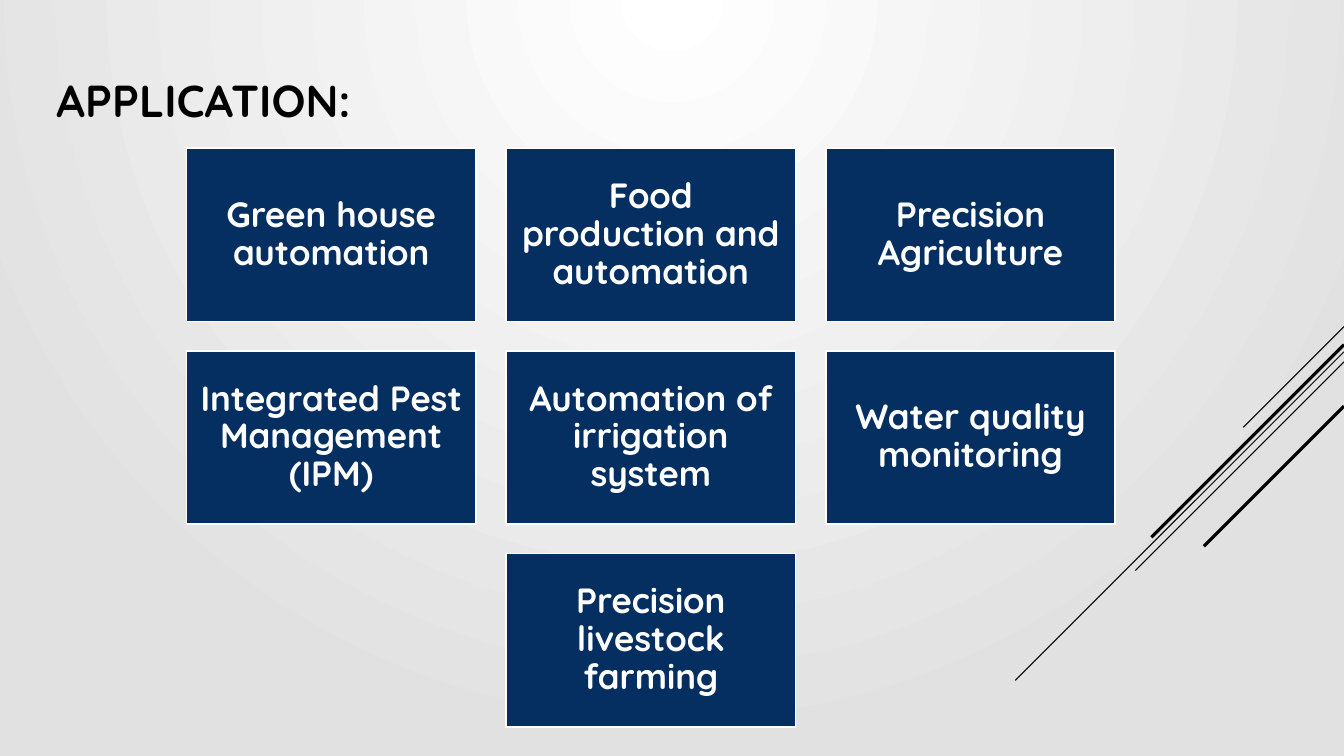
"""Build the slide listing applications of automation in agriculture."""
from dataclasses import dataclass

import lxml.etree
import pptx
import pptx.dml.color
import pptx.enum.shapes
import pptx.enum.text
import pptx.oxml.ns
import pptx.presentation
import pptx.slide
import pptx.util

Inches = pptx.util.Inches
Pt = pptx.util.Pt
RGBColor = pptx.dml.color.RGBColor
qn = pptx.oxml.ns.qn

BLACK = RGBColor(0x00, 0x00, 0x00)
WHITE = RGBColor(0xFF, 0xFF, 0xFF)
GREY = RGBColor(0xE1, 0xE1, 0xE1)
NAVY = RGBColor(0x05, 0x2F, 0x61)
FONT = "Quicksand"

SLIDE_W, SLIDE_H = 13.33, 7.5
GRID_LEFT, GRID_TOP = 1.85, 1.47
CARD_W, CARD_H = 2.87, 1.72
GAP_X, GAP_Y = 0.3, 0.29
COLUMNS = 3


@dataclass(frozen=True)
class Slash:
    """A diagonal line running down and left from the right edge."""
    top: float
    length: float
    weight: float


@dataclass(frozen=True)
class Card:
    """A labelled box placed on the grid."""
    text: str
    column: float
    row: int


SLASHES = [
    Slash(3.24, 1.0, 0.75),
    Slash(3.49, 3.26, 0.75),
    Slash(3.59, 2.07, 0.75),
    Slash(3.42, 1.91, 2.25),
    Slash(4.03, 1.39, 2.25),
]

APPLICATIONS = [
    ["Green house automation", "Food production and automation", "Precision Agriculture"],
    ["Integrated Pest Management (IPM)", "Automation of irrigation system",
     "Water quality monitoring"],
    ["Precision livestock farming"],
]


def paint_background(slide: pptx.slide.Slide) -> None:
    """Fill the background with a glow from the top centre."""
    fill = slide.background.fill
    fill.gradient()
    for stop, color in zip(fill.gradient_stops, (WHITE, GREY)):
        stop.color.rgb = color
    grad = slide.element.find(".//" + qn("a:gradFill"))
    grad.remove(grad.find(qn("a:lin")))
    glow = lxml.etree.SubElement(grad, qn("a:path"), path="circle")
    lxml.etree.SubElement(glow, qn("a:fillToRect"), l="0", t="0", r="0", b="100000")


def draw_slash(slide: pptx.slide.Slide, slash: Slash) -> None:
    """Draw one diagonal line."""
    line = slide.shapes.add_connector(
        pptx.enum.shapes.MSO_CONNECTOR.STRAIGHT,
        Inches(SLIDE_W), Inches(slash.top),
        Inches(SLIDE_W - slash.length), Inches(slash.top + slash.length))
    line.line.color.rgb = BLACK
    line.line.width = Pt(slash.weight)
    lxml.etree.SubElement(line.element.spPr, qn("a:effectLst"))


def format_paragraph(p, size: float, color: RGBColor,
                     alignment: pptx.enum.text.PP_ALIGN) -> None:
    """Apply the bold slide font to a paragraph."""
    p.alignment = alignment
    p.font.name = FONT
    p.font.size = Pt(size)
    p.font.bold = True
    p.font.color.rgb = color


def write_title(slide: pptx.slide.Slide, text: str) -> None:
    """Place and format the title."""
    title = slide.shapes.title
    title.left, title.top = Inches(0.46), Inches(0.67)
    title.width, title.height = Inches(7.97), Inches(0.64)
    tf = title.text_frame
    tf.text = text
    tf.word_wrap = True
    tf.auto_size = pptx.enum.text.MSO_AUTO_SIZE.SHAPE_TO_FIT_TEXT
    tf.vertical_anchor = pptx.enum.text.MSO_ANCHOR.TOP
    format_paragraph(tf.paragraphs[0], 32, BLACK, pptx.enum.text.PP_ALIGN.LEFT)


def draw_card(slide: pptx.slide.Slide, card: Card) -> None:
    """Draw one application box."""
    sp = slide.shapes.add_shape(
        pptx.enum.shapes.MSO_SHAPE.RECTANGLE,
        Inches(GRID_LEFT + card.column * (CARD_W + GAP_X)),
        Inches(GRID_TOP + card.row * (CARD_H + GAP_Y)),
        Inches(CARD_W), Inches(CARD_H))
    sp.shadow.inherit = False
    sp.fill.solid()
    sp.fill.fore_color.rgb = NAVY
    sp.line.color.rgb = WHITE
    sp.line.width = Pt(1.25)
    tf = sp.text_frame
    tf.text = card.text
    tf.word_wrap = True
    tf.vertical_anchor = pptx.enum.text.MSO_ANCHOR.MIDDLE
    tf.margin_left = tf.margin_right = tf.margin_top = tf.margin_bottom = Inches(0.1)
    p = tf.paragraphs[0]
    p.line_spacing = 0.9
    format_paragraph(p, 25, WHITE, pptx.enum.text.PP_ALIGN.CENTER)


def build() -> pptx.presentation.Presentation:
    """Assemble the presentation."""
    prs = pptx.Presentation()
    prs.slide_width, prs.slide_height = Inches(SLIDE_W), Inches(SLIDE_H)
    slide = prs.slides.add_slide(prs.slide_layouts[5])
    paint_background(slide)
    for slash in SLASHES:
        draw_slash(slide, slash)
    write_title(slide, "APPLICATION:")
    for row, texts in enumerate(APPLICATIONS):
        indent = (COLUMNS - len(texts)) / 2
        for column, text in enumerate(texts):
            draw_card(slide, Card(text, column + indent, row))
    return prs


if __name__ == "__main__":
    build().save("out.pptx")
